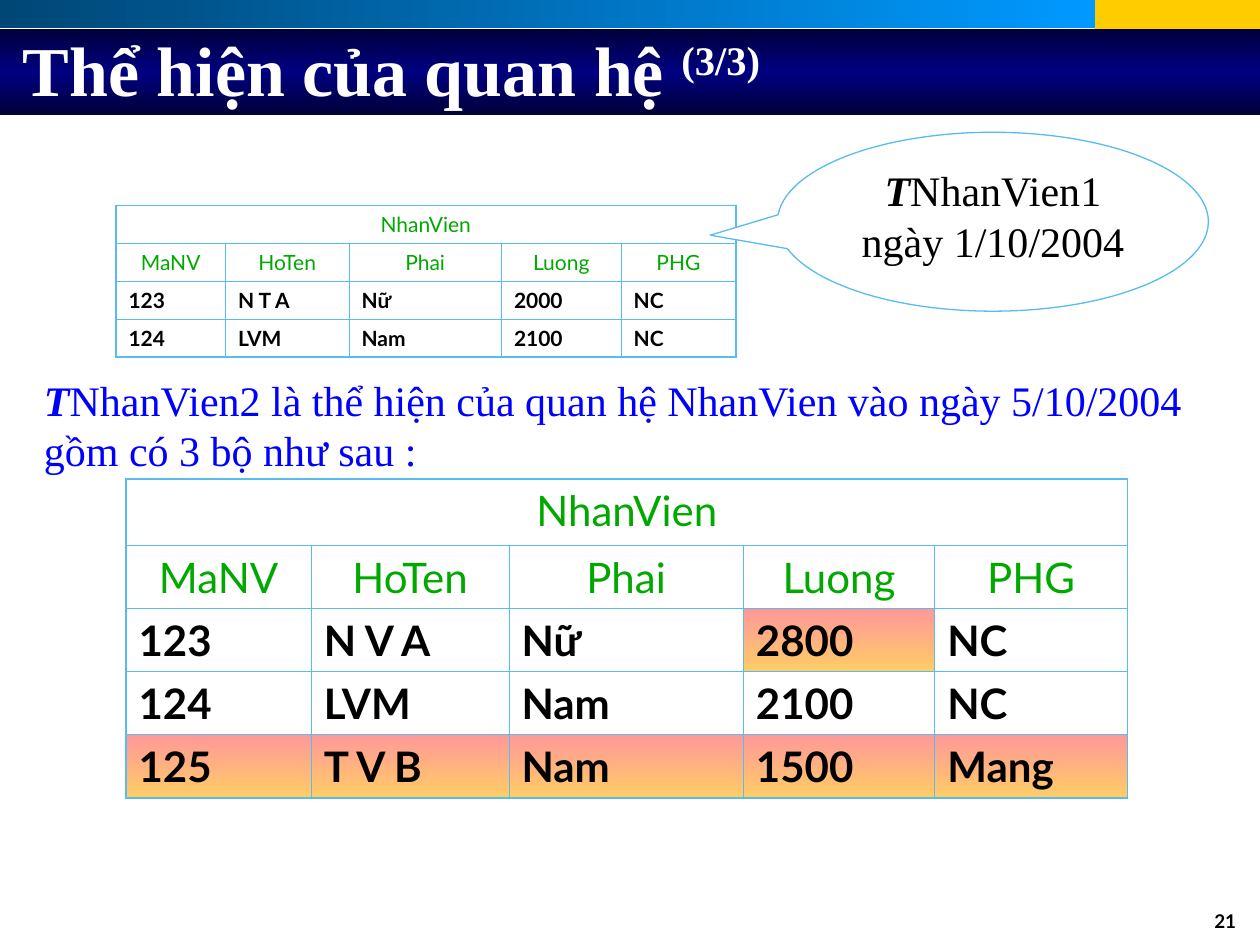
from pptx import Presentation
from pptx import util as u
from pptx.dml.color import RGBColor
from pptx.enum import shapes, text
from pptx.oxml import parse_xml
from pptx.oxml.ns import nsdecls, qn

NAVY = RGBColor(0x00, 0x00, 0x80)
DARK = RGBColor(0x00, 0x00, 0x3B)
TEAL = RGBColor(0x00, 0x47, 0x76)
AZURE = RGBColor(0x00, 0x99, 0xFF)
GOLD = RGBColor(0xFF, 0xCC, 0x00)
SKY = RGBColor(0x57, 0xBC, 0xEF)
GREEN = RGBColor(0x00, 0xA8, 0x00)
BLUE = RGBColor(0x00, 0x00, 0xFF)
PINK = RGBColor(0xFF, 0x99, 0x99)
PEACH = RGBColor(0xFF, 0xCC, 0x66)
BLACK = RGBColor(0x00, 0x00, 0x00)
WHITE = RGBColor(0xFF, 0xFF, 0xFF)

SERIF = "Times New Roman"
SANS = "Lato"
PLAIN = "{2D5ABB26-0587-4C30-8999-92F81FD0307C}"
LEFT, MID, RIGHT = text.PP_ALIGN.LEFT, text.PP_ALIGN.CENTER, text.PP_ALIGN.RIGHT
TOP = text.MSO_ANCHOR.TOP
HEADS = ["MaNV", "HoTen", "Phai", "Luong", "PHG"]


def write(frame, *runs, size, color, font=SERIF, bold=False, align=LEFT, anchor=TOP):
    frame.word_wrap = True
    frame.vertical_anchor = anchor
    para = frame.paragraphs[0]
    para.alignment = align
    made = []
    for words in runs:
        run = para.add_run()
        run.text = words
        run.font.size = u.Pt(size)
        run.font.name = font
        run.font.bold = bold
        run.font.color.rgb = color
        made.append(run)
    return made


def stress(run):
    run.font.bold = run.font.italic = True


def shade(props, colors, angle):
    last = len(colors) - 1
    stops = "".join(
        f'<a:gs pos="{100000 * i // last}"><a:srgbClr val="{c}"/></a:gs>'
        for i, c in enumerate(colors))
    props.append(parse_xml(
        f'<a:gradFill {nsdecls("a")} rotWithShape="1"><a:gsLst>{stops}</a:gsLst>'
        f'<a:lin ang="{angle * 60000}" scaled="0"/></a:gradFill>'))


def band(slide, box, *colors, angle=0):
    shape = slide.shapes.add_shape(shapes.MSO_SHAPE.RECTANGLE, *map(u.Inches, box))
    if len(colors) == 1:
        shape.fill.solid()
        shape.fill.fore_color.rgb = colors[0]
    else:
        shade(shape._element.spPr, colors, angle)
    shape.line.fill.background()
    shape.shadow.inherit = False


def note(slide, box, *runs, **style):
    label = slide.shapes.add_textbox(*map(u.Inches, box))
    return write(label.text_frame, *runs, **style)


def edge(cell, side, width):
    cell._tc.get_or_add_tcPr().append(parse_xml(
        f'<a:ln{side} {nsdecls("a")} w="{u.Pt(width)}"><a:solidFill>'
        f'<a:srgbClr val="{SKY}"/></a:solidFill></a:ln{side}>'))


def grid(slide, left, top, cols, rows, data, size, marks=()):
    lines = [["NhanVien"] + [""] * (len(cols) - 1), HEADS] + data
    frame = slide.shapes.add_table(
        len(rows), len(cols), u.Inches(left), u.Inches(top),
        u.Inches(sum(cols)), u.Inches(sum(rows)))
    table = frame.table
    table.first_row = table.horz_banding = False
    table._tbl.tblPr.find(qn("a:tableStyleId")).text = PLAIN
    for col, width in zip(table.columns, cols):
        col.width = u.Inches(width)
    for row, height in zip(table.rows, rows):
        row.height = u.Inches(height)
    table.cell(0, 0).merge(table.cell(0, len(cols) - 1))
    for r, line in enumerate(lines):
        for c, words in enumerate(line):
            cell = table.cell(r, c)
            outer = {"L": r == 0 or c == 0, "R": r == 0 or c == len(cols) - 1,
                     "T": r == 0, "B": r == len(rows) - 1}
            for side, thick in outer.items():
                edge(cell, side, 1.08 if thick else 0.45)
            if (r, c) in marks:
                shade(cell._tc.tcPr, (PINK, PEACH), 90)
            else:
                cell.fill.background()
            if words:
                head = r < 2
                write(cell.text_frame, words, size=size, font=SANS, bold=not head,
                      color=GREEN if head else BLACK, align=MID if head else LEFT)


def bubble(slide, box, *runs, tip):
    shape = slide.shapes.add_shape(shapes.MSO_SHAPE.OVAL_CALLOUT, *map(u.Inches, box))
    shape.adjustments[0], shape.adjustments[1] = tip
    shape.fill.solid()
    shape.fill.fore_color.rgb = WHITE
    shape.line.color.rgb = SKY
    shape.line.width = u.Pt(0.75)
    shape.shadow.inherit = False
    return write(shape.text_frame, *runs, size=24, color=BLACK, align=MID)


def head(slide, box, *runs):
    title = slide.shapes.title
    slide.shapes._spTree.append(title._element)
    title.left, title.top, title.width, title.height = map(u.Inches, box)
    title.text_frame.auto_size = text.MSO_AUTO_SIZE.NONE
    return write(title.text_frame, *runs, size=40, color=WHITE, bold=True,
                 anchor=text.MSO_ANCHOR.MIDDLE)


def main():
    deck = Presentation()
    deck.slide_width, deck.slide_height = u.Inches(10), u.Inches(7.5)
    slide = deck.slides.add_slide(deck.slide_layouts[5])

    band(slide, (8.69, 0, 1.31, 0.28), GOLD)
    band(slide, (0, 0, 8.69, 0.22), TEAL, AZURE)
    band(slide, (0, 0.23, 10, 0.68), DARK, NAVY, DARK, angle=90)
    note(slide, (7.58, 7.17, 2.33, 0.32), "21", size=10.8, font=SANS,
         color=BLACK, bold=True, align=RIGHT)

    part = head(slide, (0.08, 0.08, 7.33, 0.92), "Thể hiện của quan hệ ", "(3/3)")[1]
    part.font._element.set("baseline", "30000")

    grid(slide, 1, 3.8, [1.47, 1.57, 1.86, 1.52, 1.53], [0.53] + [0.5] * 4,
         [["123", "N V A", "Nữ", "2800", "NC"],
          ["124", "LVM", "Nam", "2100", "NC"],
          ["125", "T V B", "Nam", "1500", "Mang"]],
         24, marks=[(2, 3)] + [(4, c) for c in range(5)])
    stress(note(slide, (0.25, 2.92, 9.25, 0.9), "T",
                "NhanVien2 là thể hiện của quan hệ NhanVien vào ngày 5/10/2004 "
                "gồm có 3 bộ như sau :", size=24, color=BLUE)[0])
    grid(slide, 0.92, 1.63, [0.87, 0.98, 1.21, 0.95, 0.91], [0.3] * 4,
         [["123", "N T A", "Nữ", "2000", "NC"],
          ["124", "LVM", "Nam", "2100", "NC"]], 12)
    stress(bubble(slide, (6.17, 1.05, 3.42, 1.42), "T",
                  "NhanVien1 ngày 1/10/2004", tip=(-0.656, 0.075))[0])

    deck.save("out.pptx")


if __name__ == "__main__":
    main()
